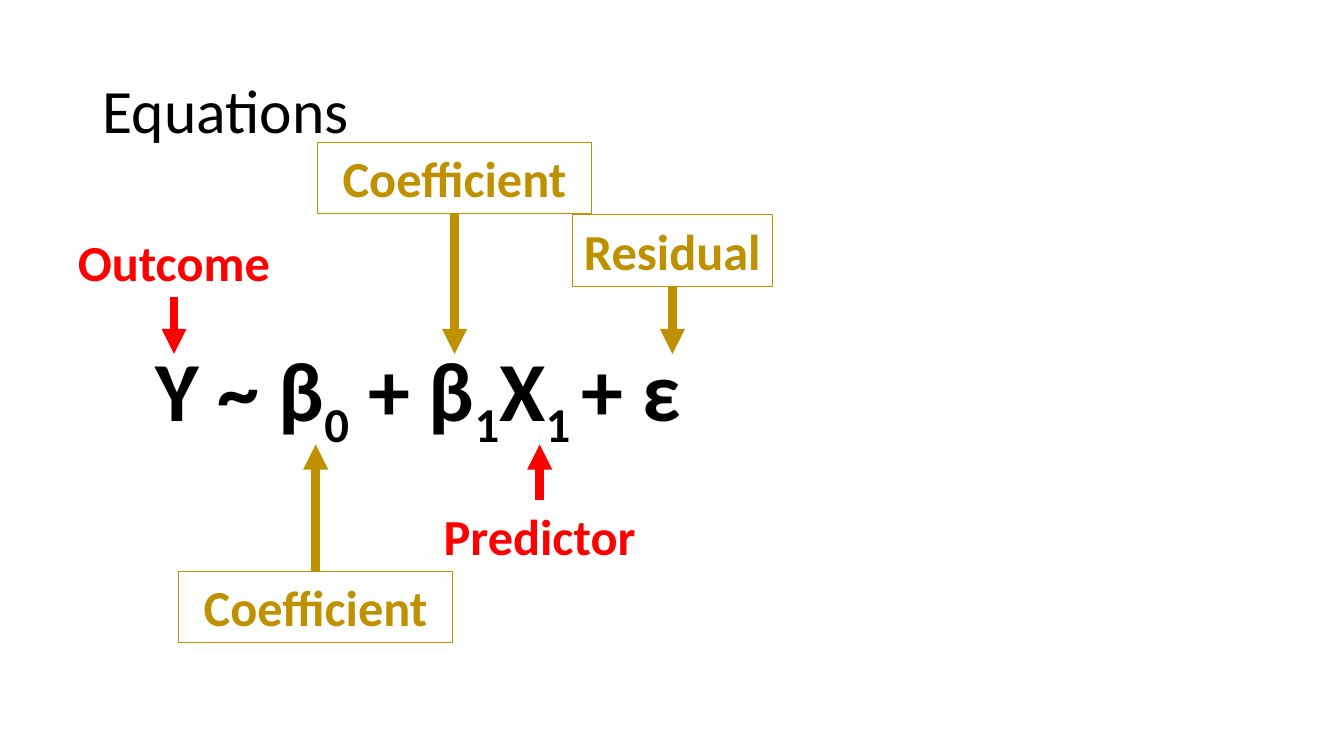
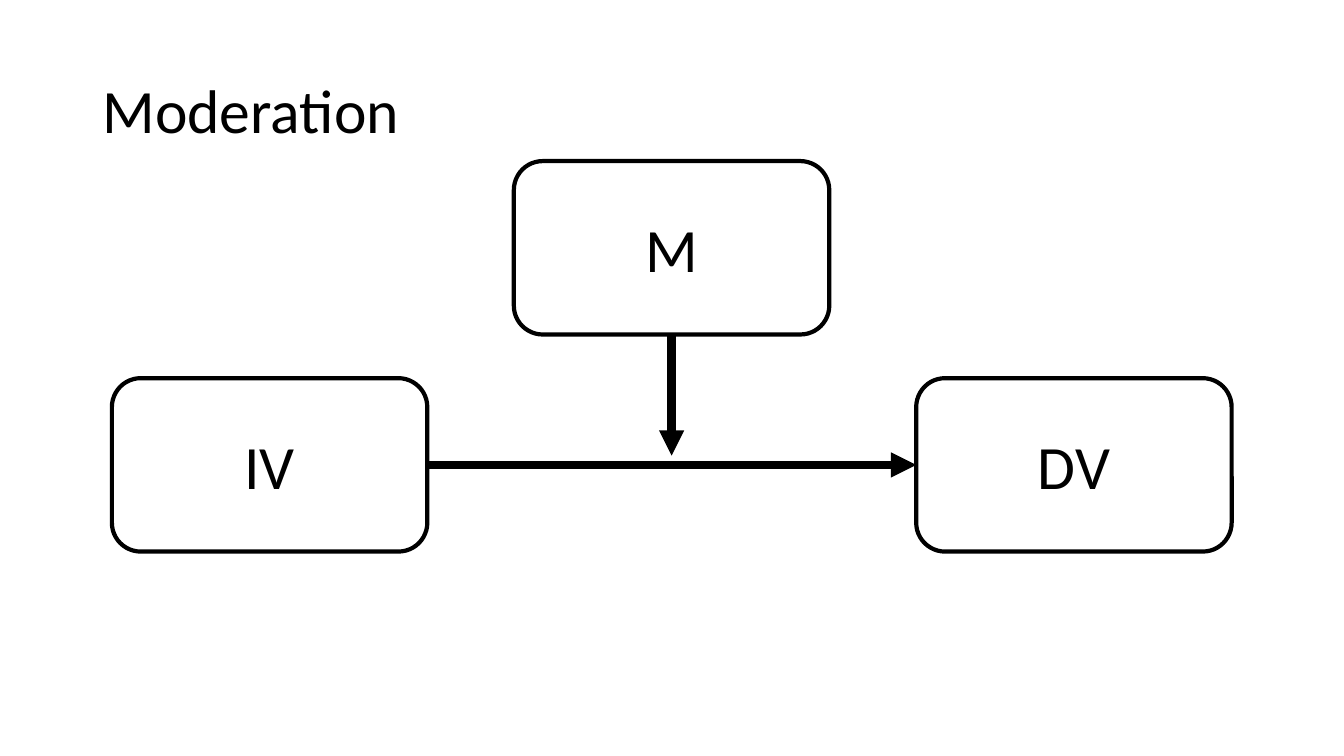
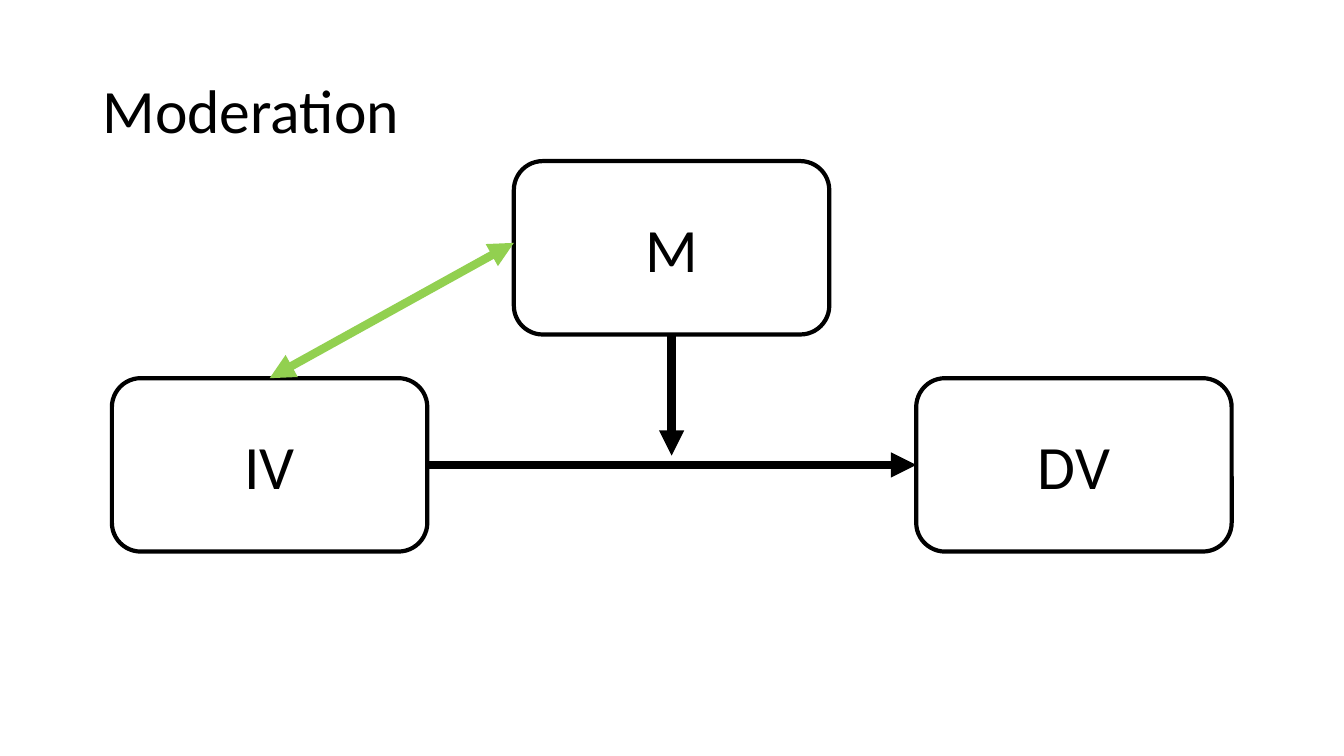
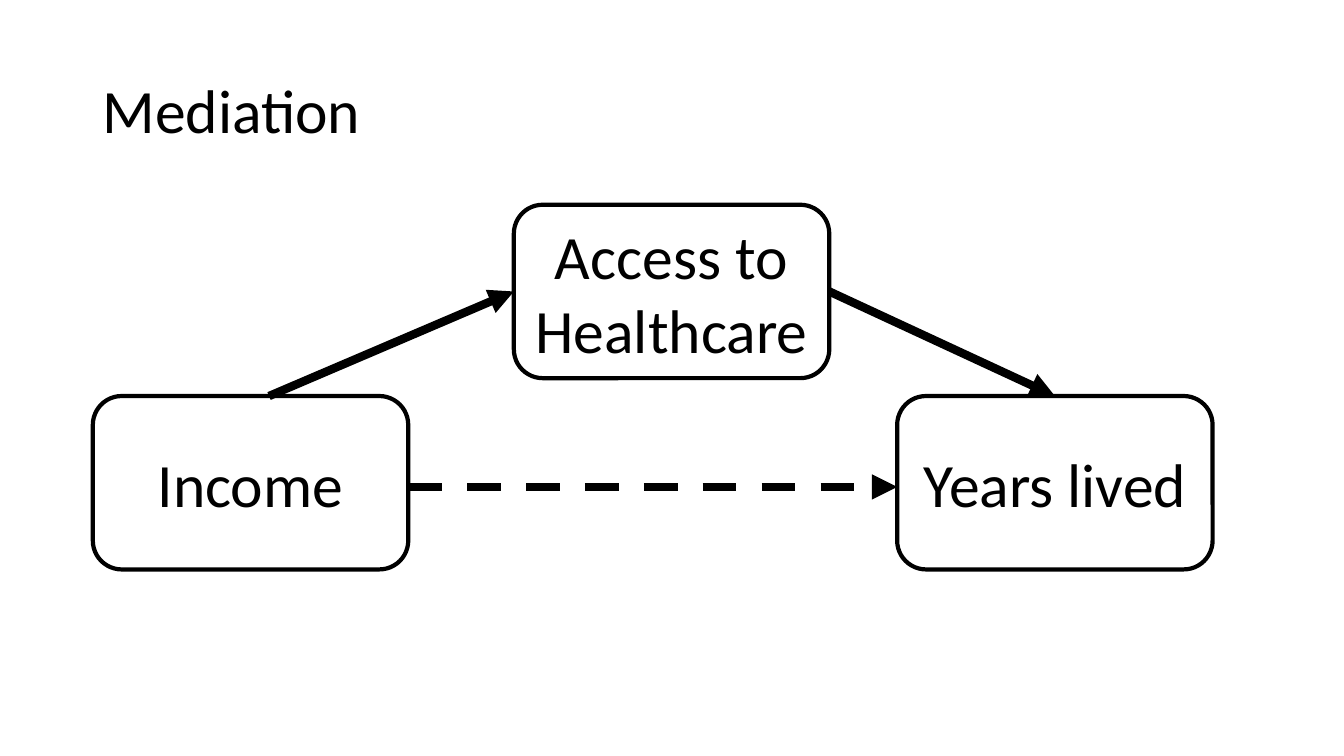
import lxml.etree
import pptx
import pptx.dml.color
import pptx.enum.dml
import pptx.enum.shapes
import pptx.enum.text
import pptx.oxml.ns
import pptx.shapes.base
import pptx.util

Cm = pptx.util.Cm
Pt = pptx.util.Pt
ALIGN = pptx.enum.text.PP_ALIGN
FONT = "Calibri"
BLACK, WHITE, RED, GOLD, GREEN = "000000", "FFFFFF", "FF0000", "BF9000", "92D050"
TOP, LEFT, BOTTOM, RIGHT = range(4)
NODE_WIDTH, NODE_HEIGHT = 7.95, 4.37
MIDDLE_NODE_LEFT = 12.95


def rgb(color):
    """Turn a hex string into a colour."""
    return pptx.dml.color.RGBColor.from_string(color)


def format_paragraph(paragraph, size, color=BLACK, bold=False, align=ALIGN.LEFT):
    """Set the font and alignment of a paragraph."""
    paragraph.alignment = align
    font = paragraph.font
    font.name, font.size, font.bold = FONT, Pt(size), bold
    font.color.rgb = rgb(color)


def outline(shape, color, width):
    """Draw a solid line along a shape or connector."""
    shape.line.color.rgb = rgb(color)
    shape.line.width = Pt(width)


def add_titled_slide(presentation, text):
    """Add a slide with the shared title style."""
    slide = presentation.slides.add_slide(presentation.slide_layouts[5])
    title = slide.shapes.title
    title.left, title.top = Cm(2.33), Cm(1.02)
    title.width, title.height = Cm(29.21), Cm(3.68)
    frame = title.text_frame
    frame.text = text
    frame.auto_size = pptx.enum.text.MSO_AUTO_SIZE.NONE
    frame.vertical_anchor = pptx.enum.text.MSO_ANCHOR.MIDDLE
    format_paragraph(frame.paragraphs[0], 44)
    frame.paragraphs[0].line_spacing = 0.9
    return slide


def add_equation(slide, parts):
    """Add a formula from pairs of normal text and subscript."""
    box = slide.shapes.add_textbox(Cm(3.66), Cm(8.38), Cm(26.54), Cm(2.82))
    box.text_frame.word_wrap = True
    paragraph = box.text_frame.paragraphs[0]
    format_paragraph(paragraph, 60, bold=True)
    for text, subscript in parts:
        paragraph.add_run().text = text
        if subscript:
            run = paragraph.add_run()
            run.text = subscript
            run.font._element.set("baseline", "-25000")


def add_label(slide, text, left, top, width, color, framed=False):
    """Add a bold term, with a thin frame if wanted."""
    label = slide.shapes.add_textbox(Cm(left), Cm(top), Cm(width), Cm(1.8))
    label.text_frame.text = text
    label.text_frame.word_wrap = True
    format_paragraph(label.text_frame.paragraphs[0], 36, color, True, ALIGN.CENTER)
    if framed:
        outline(label, color, 0.75)
    return label


def add_node(slide, text, left, top):
    """Add a rounded box for a variable."""
    node = slide.shapes.add_shape(
        pptx.enum.shapes.MSO_SHAPE.ROUNDED_RECTANGLE,
        Cm(left), Cm(top), Cm(NODE_WIDTH), Cm(NODE_HEIGHT))
    node.shadow.inherit = False
    node.fill.background()
    outline(node, BLACK, 3)
    node.text_frame.text = text
    node.text_frame.word_wrap = True
    node.text_frame.vertical_anchor = pptx.enum.text.MSO_ANCHOR.MIDDLE
    format_paragraph(node.text_frame.paragraphs[0], 44, align=ALIGN.CENTER)
    return node


def add_arrow(slide, begin, end, color=BLACK, dashed=False, double=False):
    """Add an arrow between points or (shape, side) joints."""
    arrow = slide.shapes.add_connector(
        pptx.enum.shapes.MSO_CONNECTOR.STRAIGHT, 0, 0, 0, 0)
    if isinstance(begin[0], pptx.shapes.base.BaseShape):
        arrow.begin_connect(*begin)
    else:
        arrow.begin_x, arrow.begin_y = begin
    if isinstance(end[0], pptx.shapes.base.BaseShape):
        arrow.end_connect(*end)
    else:
        arrow.end_x, arrow.end_y = end
    outline(arrow, color, 6)
    if dashed:
        arrow.line.dash_style = pptx.enum.dml.MSO_LINE.DASH
    line = arrow.line._get_or_add_ln()
    for tag in ("a:headEnd", "a:tailEnd") if double else ("a:tailEnd",):
        lxml.etree.SubElement(line, pptx.oxml.ns.qn(tag), type="triangle")
    lxml.etree.SubElement(arrow._element.spPr, pptx.oxml.ns.qn("a:effectLst"))


def add_vertical_arrow(slide, shape, side, tip, color=BLACK):
    """Point straight up or down from the middle of a shape's side."""
    add_arrow(slide, (shape, side), (shape.left + shape.width // 2, Cm(tip)), color)


def add_equations_slide(presentation):
    """Build the slide that names the terms of a regression equation."""
    slide = add_titled_slide(presentation, "Equations")
    add_equation(slide, [("Y ~ β", "0"), (" + β", "1"), ("X", "1 "), ("+ ε", "")])
    above, below = 8.92, 11.2
    for text, left, top, width, color, side in (
            ("Outcome", 1.68, 5.69, 5.41, RED, BOTTOM),
            ("Predictor", 10.77, 12.6, 5.66, RED, TOP),
            ("Coefficient", 4.5, 14.4, 6.91, GOLD, TOP),
            ("Residual", 14.43, 5.41, 5.03, GOLD, BOTTOM),
            ("Coefficient", 8, 3.58, 6.91, GOLD, BOTTOM)):
        label = add_label(slide, text, left, top, width, color, color == GOLD)
        add_vertical_arrow(slide, label, side, above if side == BOTTOM else below, color)


def add_moderation_slide(presentation, correlated):
    """Build the moderation diagram, with a correlation arrow if wanted."""
    slide = add_titled_slide(presentation, "Moderation")
    predictor = add_node(slide, "IV", 2.82, 9.53)
    outcome = add_node(slide, "DV", 23.09, 9.53)
    add_arrow(slide, (predictor, RIGHT), (outcome, LEFT))
    moderator = add_node(slide, "M", MIDDLE_NODE_LEFT, 4.06)
    add_vertical_arrow(slide, moderator, BOTTOM, 11.48)
    if correlated:
        add_arrow(slide, (predictor, TOP), (moderator.left, Cm(6.12)), GREEN, double=True)


def add_mediation_slide(presentation):
    """Build the mediation diagram."""
    slide = add_titled_slide(presentation, "Mediation")
    mediator = add_node(slide, "Access to Healthcare", MIDDLE_NODE_LEFT, 5.16)
    mediator.fill.solid()
    mediator.fill.fore_color.rgb = rgb(WHITE)
    income = add_node(slide, "Income", 2.34, 9.98)
    years = add_node(slide, "Years lived", 22.61, 9.98)
    add_arrow(slide, (Cm(6.78), income.top), (mediator, LEFT))
    add_arrow(slide, (mediator, RIGHT), (years, TOP))
    direct_y = Cm(12.27)
    add_arrow(slide, (income.left + income.width, direct_y), (years.left, direct_y),
              dashed=True)


def main():
    """Build and save the presentation."""
    presentation = pptx.Presentation()
    presentation.slide_width, presentation.slide_height = Cm(33.87), Cm(19.05)
    add_equations_slide(presentation)
    for correlated in (False, True):
        add_moderation_slide(presentation, correlated)
    add_mediation_slide(presentation)
    presentation.save("out.pptx")


if __name__ == "__main__":
    main()
